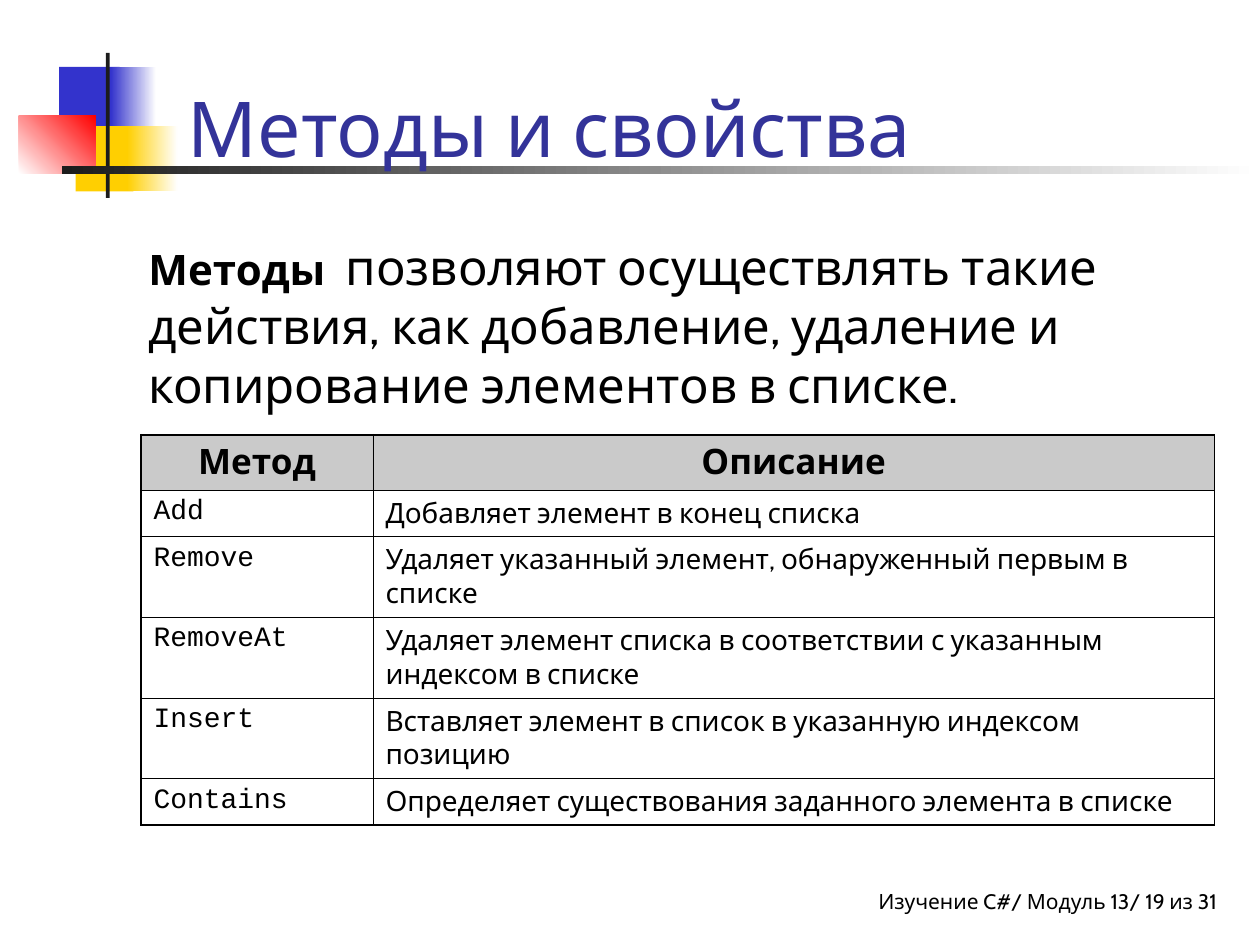
"""Builds a slide about list methods with a table of their descriptions."""
from lxml import etree
from pptx import Presentation
from pptx.dml.color import RGBColor
from pptx.enum.shapes import MSO_SHAPE
from pptx.enum.text import MSO_ANCHOR, MSO_AUTO_SIZE, PP_ALIGN
from pptx.oxml.ns import qn
from pptx.util import Inches, Pt

RECT = MSO_SHAPE.RECTANGLE
LEFT, MID, RIGHT = PP_ALIGN.LEFT, PP_ALIGN.CENTER, PP_ALIGN.RIGHT
TOP, LOW = MSO_ANCHOR.TOP, MSO_ANCHOR.BOTTOM
FIXED = MSO_AUTO_SIZE.NONE
SANS, MONO = "Cabin", "Courier New"
BLACK, WHITE, DARK = "000000", "FFFFFF", "1C1C1C"
BLUE, GOLD, RED, GRAY = "3333CC", "FFCF01", "FF0000", "969696"
THIN, THICK = 0.45, 1.08

TITLE = "Методы и свойства"
LEAD = "Методы "
BODY = (" позволяют осуществлять такие действия, как добавление, "
        "удаление и копирование элементов в списке.")
FOOT = "Изучение C#/ Модуль 13/ 19 из 31"
ROWS = [
    ("Метод", "Описание"),
    ("Add", "Добавляет элемент в конец списка"),
    ("Remove", "Удаляет указанный элемент, обнаруженный первым в списке"),
    ("RemoveAt", "Удаляет элемент списка в соответствии с указанным индексом в списке"),
    ("Insert", "Вставляет элемент в список в указанную индексом позицию"),
    ("Contains", "Определяет существования заданного элемента в списке"),
]
WIDTHS = (1.84, 6.68)
HEIGHTS = (0.44, 0.37, 0.64, 0.64, 0.64, 0.37)
DECOR = [
    ((0.47, 0.53, 0.48, 0.52), (BLUE,), 0),
    ((0.88, 0.53, 0.36, 0.52), (BLUE, WHITE), 0),
    ((0.6, 1, 0.46, 0.52), (GOLD,), 0),
    ((1.01, 1, 0.4, 0.52), (GOLD, WHITE), 0),
    ((0.15, 0.92, 0.61, 0.46), (WHITE, RED), 45),
    ((0.84, 0.42, 0.03, 1.15), (DARK,), 0),
    ((0.49, 1.32, 9.51, 0.06), (DARK, WHITE), 0),
]


def color(code):
    return RGBColor.from_string(code)


def write(frame, *runs, font=SANS, ink=BLACK, align=LEFT, before=0, anchor=TOP):
    """Fill a text frame with (text, size, bold) runs."""
    frame.word_wrap = True
    frame.vertical_anchor = anchor
    par = frame.paragraphs[0]
    par.alignment, par.space_before = align, Pt(before)
    for text, size, bold in runs:
        run = par.add_run()
        run.text = text
        face = run.font
        face.name, face.size, face.bold = font, Pt(size), bold
        face.color.rgb = color(ink)


def add_box(slide, *box):
    frame = slide.shapes.add_textbox(*map(Inches, box)).text_frame
    frame.auto_size = FIXED
    return frame


def add_block(slide, box, tones, angle):
    shape = slide.shapes.add_shape(RECT, *map(Inches, box))
    shape.shadow.inherit = False
    shape.line.fill.background()
    if len(tones) == 1:
        shape.fill.solid()
        shape.fill.fore_color.rgb = color(tones[0])
        return
    shape.fill.gradient()
    shape.fill.gradient_angle = angle
    for stop, tone in zip(shape.fill.gradient_stops, tones):
        stop.color.rgb = color(tone)


def edge(cell, sides):
    """Draw cell borders, given as widths for L, R, T and B."""
    props = cell._tc.get_or_add_tcPr()
    for spot, (side, width) in enumerate(sides.items()):
        line = etree.Element(qn("a:ln" + side), w=str(Pt(width)))
        fill = etree.SubElement(line, qn("a:solidFill"))
        etree.SubElement(fill, qn("a:srgbClr"), val=BLACK)
        props.insert(spot, line)


def shade(cell):
    cell.fill.solid()
    cell.fill.fore_color.rgb = color(GRAY)
    tone = cell._tc.tcPr.find(".//" + qn("a:srgbClr"))
    etree.SubElement(tone, qn("a:alpha"), val="50000")


def add_grid(slide, left, top):
    box = map(Inches, (left, top, sum(WIDTHS), sum(HEIGHTS)))
    table = slide.shapes.add_table(len(ROWS), len(WIDTHS), *box).table
    table.first_row = table.horz_banding = False
    for col, width in zip(table.columns, WIDTHS):
        col.width = Inches(width)
    for row, height in zip(table.rows, HEIGHTS):
        row.height = Inches(height)
    for r, row in enumerate(ROWS):
        for c, text in enumerate(row):
            cell = table.cell(r, c)
            head, last = r == 0, r == len(ROWS) - 1
            if head:
                shade(cell)
                write(cell.text_frame, (text, 20, True), align=MID, before=5)
            else:
                cell.fill.background()
                write(cell.text_frame, (text, 16, False),
                      font=SANS if c else MONO, before=4)
            edge(cell, {"L": THIN if c else THICK, "R": THICK if c else THIN,
                        "T": THICK if head else THIN, "B": THICK if last else THIN})


def main():
    deck = Presentation()
    deck.slide_width, deck.slide_height = Inches(10), Inches(7.5)
    slide = deck.slides.add_slide(deck.slide_layouts[5])
    foot = add_box(slide, 4.58, 7, 5.08, 0.33)
    foot.margin_right = 0
    write(foot, (FOOT, 12, False), align=RIGHT)
    for block in DECOR:
        add_block(slide, *block)
    title = slide.shapes.title
    title.left, title.top, title.width, title.height = map(
        Inches, (1.39, 0.17, 8.52, 1.25))
    title.text_frame.auto_size = FIXED
    write(title.text_frame, (TITLE, 44, False), ink="333399", anchor=LOW)
    tree = title.element.getparent()
    tree.append(title.element)
    write(add_box(slide, 1.08, 1.83, 8.5, 1.58),
          (LEAD, 24, True), (BODY, 28, False), before=7)
    add_grid(slide, 1.12, 3.45)
    deck.save("out.pptx")


if __name__ == "__main__":
    main()
